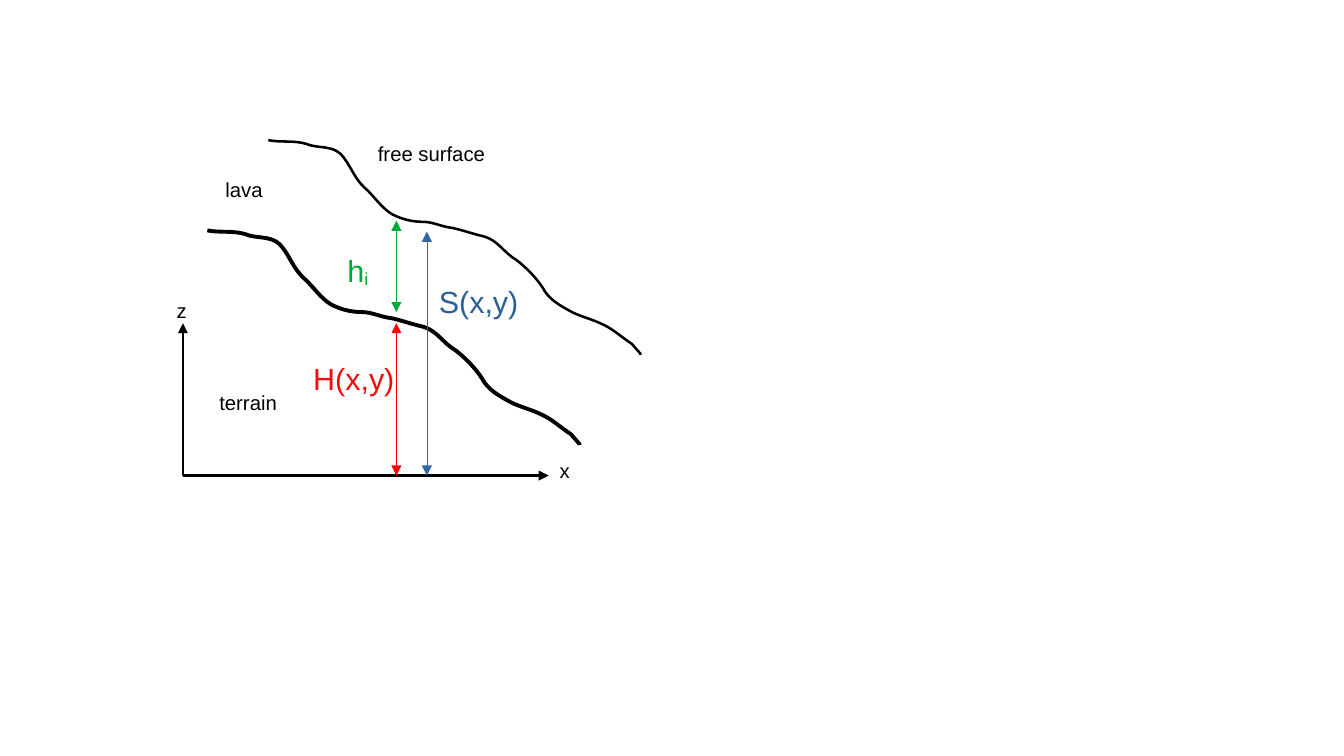
from lxml import etree
from pptx import Presentation, util as u
from pptx.dml.color import RGBColor
from pptx.enum import shapes as kinds
from pptx.oxml.ns import qn

BLACK, RED, GREEN, BLUE = "000000", "FF0000", "00A933", "3465A4"
HAIR = 0.01

SLOPE = [
    (0, 0),
    (0.1, 0.02), (0.21, 0), (0.31, 0.03),
    (0.4, 0.07), (0.51, 0.04), (0.59, 0.11),
    (0.67, 0.19), (0.7, 0.31), (0.79, 0.39),
    (0.87, 0.46), (0.93, 0.56), (1.02, 0.61),
    (1.1, 0.65), (1.18, 0.67), (1.27, 0.67),
    (1.35, 0.67), (1.42, 0.71), (1.51, 0.72),
    (1.6, 0.74), (1.68, 0.77), (1.77, 0.79),
    (1.88, 0.82), (1.94, 0.93), (2.03, 0.98),
    (2.11, 1.04), (2.19, 1.12), (2.25, 1.21),
    (2.3, 1.31), (2.4, 1.36), (2.49, 1.41),
    (2.57, 1.45), (2.66, 1.47), (2.74, 1.51),
    (2.83, 1.55), (2.9, 1.62), (2.98, 1.67),
]
FOOT = [(3.05, 1.75), (3.05, 1.76)]


def color(code):
    return RGBColor.from_string(code)


def bend(shape):
    legs = list(shape._element.iter(qn("a:lnTo")))[:len(SLOPE) - 1]
    for i in range(0, len(legs), 3):
        arc = etree.Element(qn("a:cubicBezTo"))
        legs[i].addprevious(arc)
        for leg in legs[i:i + 3]:
            arc.append(leg[0])
            leg.getparent().remove(leg)


def curve(group, left, top, width):
    dots = [(u.Inches(left + x), u.Inches(top + y)) for x, y in SLOPE + FOOT]
    pen = group.build_freeform(*dots[0])
    pen.add_line_segments(dots[1:], close=False)
    shape = pen.convert_to_shape()
    bend(shape)
    shape.shadow.inherit = False
    shape.fill.background()
    shape.line.color.rgb = color(BLACK)
    shape.line.width = u.Pt(width)


def arrow(group, start, end, code, width, ends):
    ties = [u.Inches(n) for n in (*start, *end)]
    link = group.add_connector(kinds.MSO_CONNECTOR.STRAIGHT, *ties)
    link.line.color.rgb = color(code)
    link.line.width = u.Pt(width)
    for tip in ends:
        etree.SubElement(link.line._get_or_add_ln(), qn("a:" + tip), type="triangle")
    etree.SubElement(link._element.spPr, qn("a:effectLst"))


def label(group, left, top, width, height, words, size=12, code=BLACK, sub=""):
    box = group.add_textbox(*(u.Inches(n) for n in (left, top, width, height)))
    box.text_frame.word_wrap = True
    para = box.text_frame.paragraphs[0]
    para.font.name = "Arial"
    para.font.size = u.Pt(size)
    para.font.color.rgb = color(code)
    para.add_run().text = words
    if sub:
        low = para.add_run()
        low.text = sub
        low._r.get_or_add_rPr().set("baseline", "-8000")


def axes(group, left, top, width, height):
    base = top + height
    for end in ((left, base - 1.25), (left + 3, base)):
        arrow(group, (left, base), end, BLACK, 1.5, ["tailEnd"])
    label(group, left - 0.15, base - 1.5, 0.25, 0.29, "z")
    label(group, left + 2.99, base - 0.19, 0.25, 0.29, "x")


def layers(group, left, top, width, height):
    curve(group, left + 0.2, top + 0.74, 2.3)
    curve(group, left + 0.7, top, 1.5)
    label(group, left + 0.2, top + 2, 0.75, 0.32, "terrain")
    label(group, left + 1.5, top - 0.04, 1.25, 0.29, "free surface")
    label(group, left + 0.25, top + 0.25, 0.75, 0.29, "lava")


def depths(group, left, top, width, height):
    spans = [
        (1.75, height, 1.5, RED),
        (1.75, 1.41, 0.66, GREEN),
        (2, height, 0.75, BLUE),
    ]
    for x, low, high, code in spans:
        arrow(group, (left + x, top + low), (left + x, top + high),
              code, HAIR, ["headEnd", "tailEnd"])
    label(group, left + 1.25, top + 0.87, 1, 0.38, "h", 18, GREEN, "i")
    label(group, left + 0.97, top + 1.75, 1, 0.38, "H(x,y)", 18, "F10D0C")
    label(group, left + 2, top + 1.12, 1.25, 0.38, "S(x,y)", 18, "2A6099")


def main():
    deck = Presentation()
    deck.slide_width = u.Inches(11.02)
    deck.slide_height = u.Inches(6.2)
    slide = deck.slides.add_slide(deck.slide_layouts[6])
    group = slide.shapes.add_group_shape().shapes
    box = (1.5, 1.15, 3.75, 2.75)
    for part in (axes, layers, depths):
        part(group, *box)
    deck.save("out.pptx")


if __name__ == "__main__":
    main()
